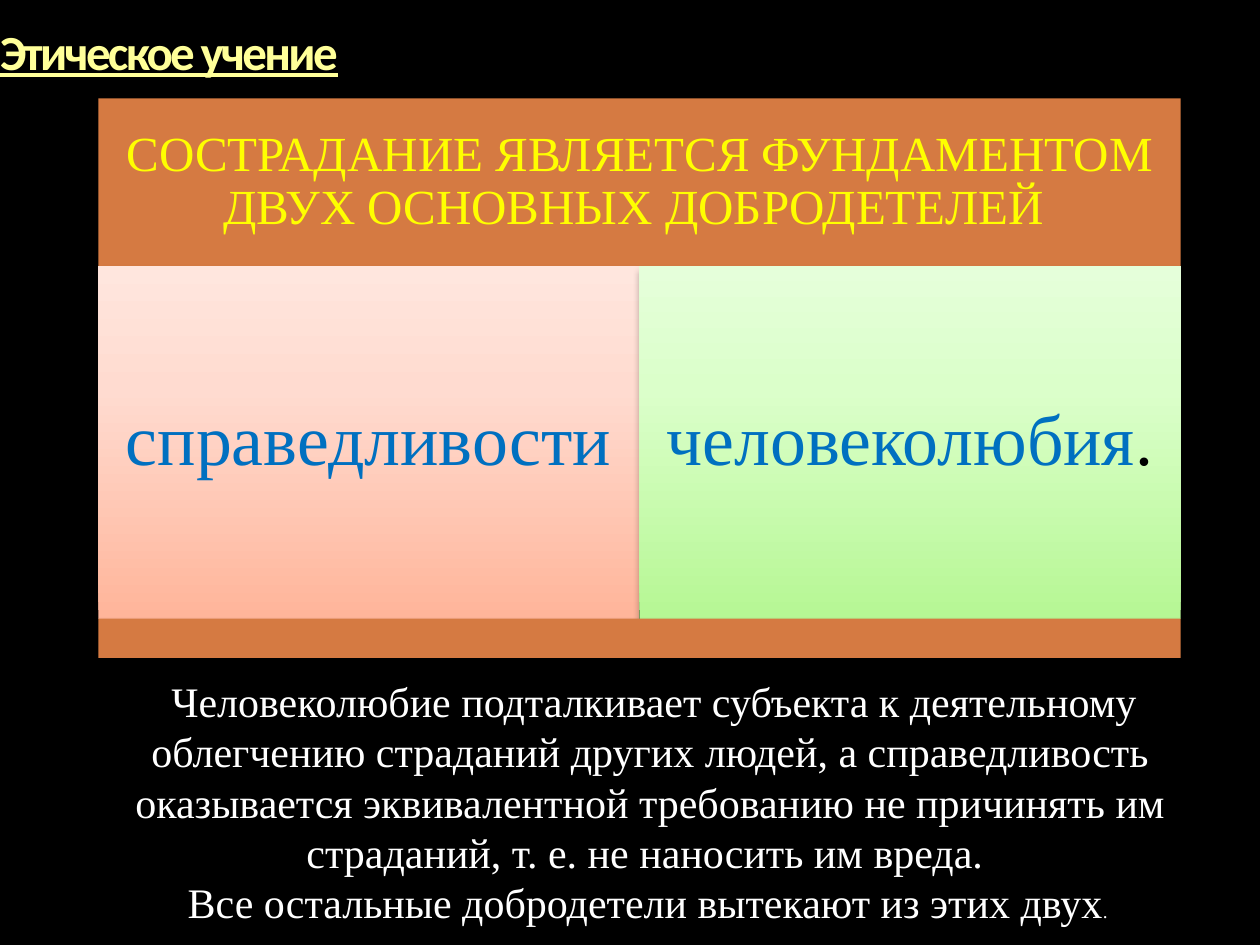
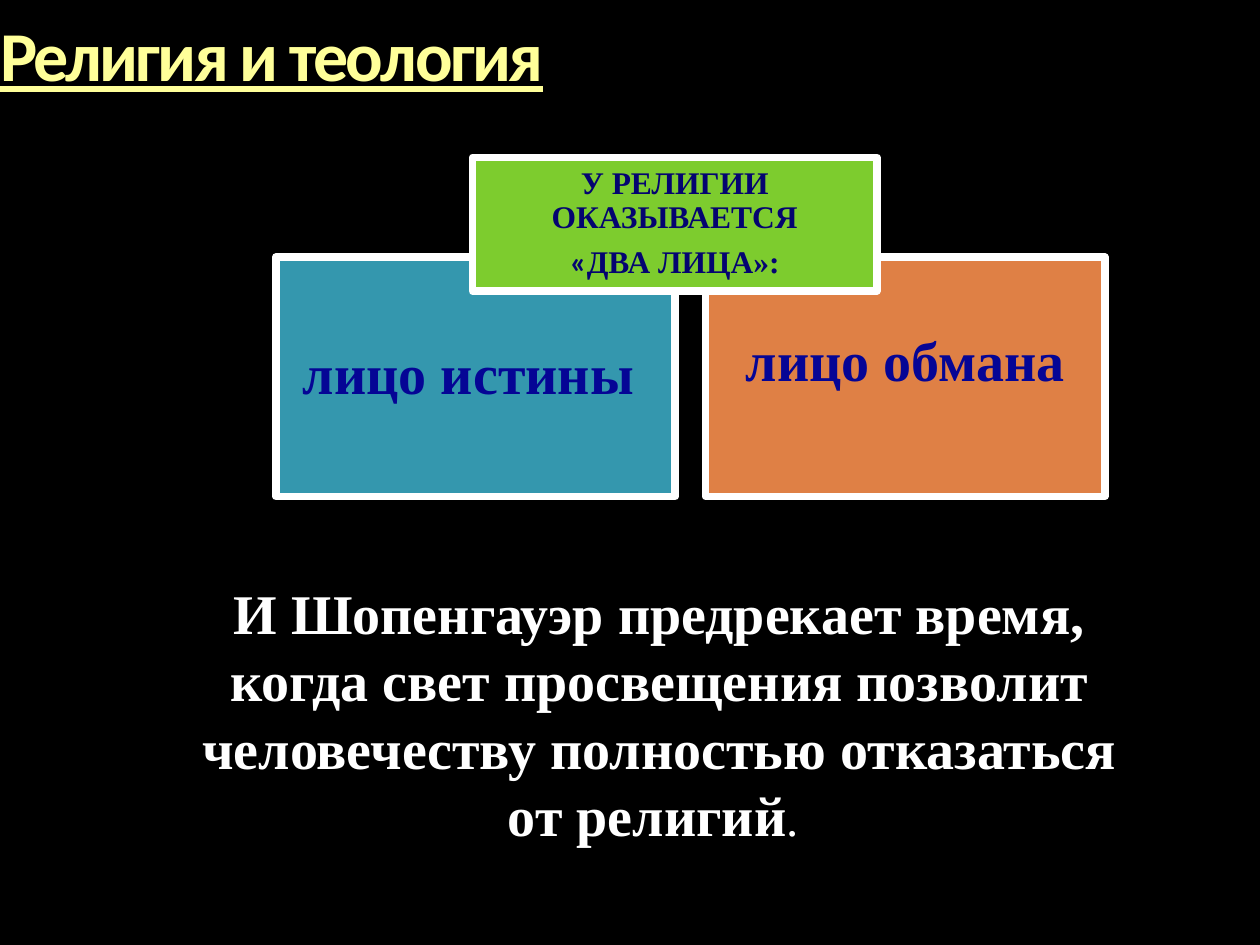
"""Build two slides on Schopenhauer's ethics and his view of religion."""
from copy import deepcopy

from lxml.etree import SubElement
from pptx import Presentation
from pptx.dml.color import RGBColor
from pptx.enum.shapes import MSO_SHAPE
from pptx.enum.text import MSO_ANCHOR, MSO_AUTO_SIZE, PP_ALIGN
from pptx.oxml.ns import qn
from pptx.util import Pt

BLACK = RGBColor(0x00, 0x00, 0x00)
WHITE = RGBColor(0xFF, 0xFF, 0xFF)
PALE_YELLOW = RGBColor(0xFF, 0xFF, 0x99)
YELLOW = RGBColor(0xFF, 0xFF, 0x00)
BLUE = RGBColor(0x00, 0x70, 0xC0)
NAVY = RGBColor(0x05, 0x05, 0x95)
DARK_NAVY = RGBColor(0x04, 0x04, 0x70)
COPPER = RGBColor(0xD5, 0x7A, 0x42)
ORANGE = RGBColor(0xDF, 0x80, 0x45)
TEAL = RGBColor(0x34, 0x97, 0xAE)
GREEN = RGBColor(0x7D, 0xCC, 0x2E)
PEACH_FADE = (
    (0, RGBColor(0xFF, 0xB5, 0x9A)),
    (0.65, RGBColor(0xFF, 0xDB, 0xD0)),
    (1, RGBColor(0xFF, 0xE6, 0xDE)),
)
LIME_FADE = (
    (0, RGBColor(0xB6, 0xF7, 0x94)),
    (0.65, RGBColor(0xDB, 0xFF, 0xCA)),
    (1, RGBColor(0xE5, 0xFF, 0xDA)),
)


class Deck:
    TITLE_FONT = "Calibri"
    TEXT_FONT = "Times New Roman"
    TIGHT = 0.9
    GAP_AFTER = 0.35

    def __init__(self):
        self.prs = Presentation()
        self.prs.slide_width, self.prs.slide_height = Pt(720), Pt(540)
        background = self.prs.slide_master.background.fill
        background.solid()
        background.fore_color.rgb = BLACK
        self.slide = None

    def add_slide(self, title, size, width, height):
        self.slide = self.prs.slides.add_slide(self.prs.slide_layouts[5])
        heading = self.slide.shapes.title
        heading.left, heading.top = Pt(0), Pt(0)
        heading.width, heading.height = Pt(width), Pt(height)
        paragraph = self.set_text(heading.text_frame, [[title]], size, PALE_YELLOW,
                                  bold=True, inset=0, font=self.TITLE_FONT,
                                  align=PP_ALIGN.LEFT, tight=True)
        paragraph.font.underline = True
        paragraph.runs[0]._r.get_or_add_rPr().set("spc", "-150")

    def set_text(self, frame, paragraphs, size, color, bold=False, inset=None,
                 font=TEXT_FONT, align=PP_ALIGN.CENTER, tight=False):
        frame.word_wrap = True
        frame.auto_size = MSO_AUTO_SIZE.NONE
        frame.vertical_anchor = MSO_ANCHOR.MIDDLE
        if inset is not None:
            frame.margin_left = frame.margin_right = Pt(inset)
            frame.margin_top = frame.margin_bottom = Pt(inset)
        for index, runs in enumerate(paragraphs):
            paragraph = frame.add_paragraph() if index else frame.paragraphs[0]
            paragraph.alignment = align
            paragraph.font.name, paragraph.font.size = font, Pt(size)
            paragraph.font.bold, paragraph.font.color.rgb = bold, color
            if tight:
                paragraph.line_spacing = self.TIGHT
                paragraph.space_after = Pt(size * self.GAP_AFTER)
            for entry in runs:
                text, changes = (entry, {}) if isinstance(entry, str) else entry
                run = paragraph.add_run()
                run.text = text
                if "color" in changes:
                    run.font.color.rgb = changes["color"]
                if "size" in changes:
                    run.font.size = Pt(changes["size"])
                if "bold" in changes:
                    run.font.bold = changes["bold"]
                if "font" in changes:
                    run.font.name = changes["font"]
        return paragraph

    def text(self, left, top, width, height, paragraphs, size, bold=False):
        box = self.slide.shapes.add_textbox(Pt(left), Pt(top), Pt(width), Pt(height))
        self.set_text(box.text_frame, paragraphs, size, WHITE, bold)

    def block(self, left, top, width, height, fill, border=None, shadow=False):
        block = self.slide.shapes.add_shape(
            MSO_SHAPE.RECTANGLE, Pt(left), Pt(top), Pt(width), Pt(height))
        block.shadow.inherit = False
        if isinstance(fill, RGBColor):
            block.fill.solid()
            block.fill.fore_color.rgb = fill
        else:
            self.fade(block, fill)
        if border:
            block.line.color.rgb, block.line.width = WHITE, Pt(border)
        else:
            block.line.fill.background()
        if shadow:
            self.cast_shadow(block)
        return block.text_frame

    def fade(self, block, stops):
        block.fill.gradient()
        block.fill.gradient_angle = 90
        stop_list = block._element.spPr.find(".//" + qn("a:gsLst"))
        stop_list.insert(1, deepcopy(stop_list[0]))
        for stop, (position, color) in zip(block.fill.gradient_stops, stops):
            stop.position, stop.color.rgb = position, color

    def cast_shadow(self, block):
        effects = block._element.spPr.find(qn("a:effectLst"))
        outer = SubElement(effects, qn("a:outerShdw"), blurRad=str(Pt(4)),
                           dist=str(Pt(3)), dir="5400000", rotWithShape="0")
        tint = SubElement(outer, qn("a:srgbClr"), val=str(BLACK))
        SubElement(tint, qn("a:alpha"), val="35000")


def add_ethics(deck):
    left, top, width = 56.2, 56.2, 618.5
    header_height, virtue_height, strip_height = 95.8, 201.6, 22.4
    virtue_top = top + header_height
    virtue_width = width / 2

    deck.add_slide("Этическое учение", 28, 584, 62)
    deck.text(39.6, 381.6, 663.8, 152.6, [
        [(" ", {"size": 18}),
         "Человеколюбие подталкивает субъекта к деятельному облегчению "
         "страданий других людей, а справедливость оказывается эквивалентной "
         "требованию не причинять им страданий, т. е. не наносить им вреда. "],
        ["Все остальные добродетели вытекают из этих двух", (". ", {"size": 11})],
    ], 24)
    header = deck.block(left, top, width, header_height, COPPER, shadow=True)
    deck.set_text(header, [["СОСТРАДАНИЕ ЯВЛЯЕТСЯ ФУНДАМЕНТОМ ДВУХ ОСНОВНЫХ ДОБРОДЕТЕЛЕЙ "]],
                  28, YELLOW, inset=8.6, tight=True)
    virtues = (
        (["справедливости"], PEACH_FADE),
        (["человеколюбия", (". ", {"color": BLACK})], LIME_FADE),
    )
    for column, (runs, fill) in enumerate(virtues):
        virtue = deck.block(left + column * virtue_width, virtue_top,
                            virtue_width, virtue_height, fill, shadow=True)
        deck.set_text(virtue, [runs], 41, BLUE, inset=12, tight=True)
    deck.block(left, virtue_top + virtue_height, width, strip_height, COPPER, shadow=True)


def add_religion(deck):
    left, top, width, height, gap = 157.7, 146.9, 228.2, 136.8, 17.3
    border = 4.33

    deck.add_slide("Религия и теология", 40, 476, 67.7)
    deck.text(90, 326.2, 573.8, 162.7, [
        ["И Шопенгауэр предрекает время, когда свет просвещения позволит "
         "человечеству полностью отказаться от религий",
         (". ", {"size": 28, "bold": False})],
    ], 32, bold=True)
    faces = (("лицо истины ", TEAL, 0), ("лицо обмана", ORANGE, 20))
    for column, (name, fill, lift) in enumerate(faces):
        face = deck.block(left + column * (width + gap), top, width, height, fill, border)
        deck.set_text(face, [[name]], 32, NAVY, bold=True, inset=9.4, tight=not lift)
        face.margin_bottom += Pt(lift)
    header = deck.block(270, 90, 231.1, 76.3, GREEN, border)
    deck.set_text(header, [
        ["У РЕЛИГИИ ОКАЗЫВАЕТСЯ"],
        [" ", ("«", {"font": deck.TITLE_FONT}), "ДВА ЛИЦА»: "],
    ], 18, DARK_NAVY, bold=True, inset=5, tight=True)


def main():
    deck = Deck()
    add_ethics(deck)
    add_religion(deck)
    deck.prs.save("out.pptx")


if __name__ == "__main__":
    main()
